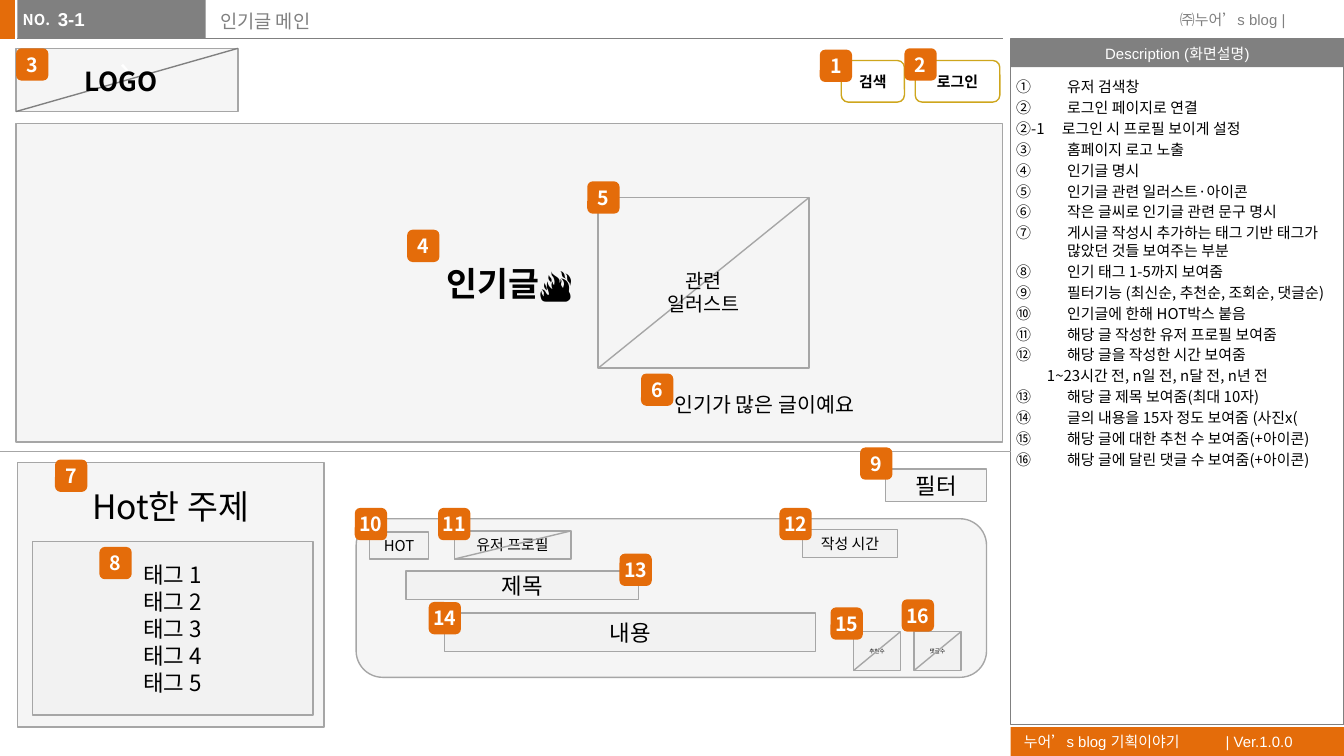
from dataclasses import dataclass

from lxml.etree import SubElement
from pptx import Presentation
from pptx.dml.color import RGBColor as Rgb
from pptx.enum.shapes import MSO_CONNECTOR as Connector, MSO_SHAPE as Preset
from pptx.enum.text import MSO_ANCHOR as Anchor, MSO_AUTO_SIZE as AutoSize, PP_ALIGN as Align
from pptx.oxml.ns import qn
from pptx.util import Inches, Pt


@dataclass(frozen=True)
class Theme:
    """Colours, fonts and type sizes of the storyboard."""
    accent: str = "E46C0A"
    bar: str = "808080"
    panel: str = "F2F2F2"
    edge: str = "A6A6A6"
    button: str = "CEA61D"
    ink: str = "000000"
    light: str = "FFFFFF"
    korean: str = "Noto Sans CJK KR"
    latin: str = "Arial"
    emoji: str = "Calibri"
    tiny: float = 3
    small: float = 8
    head: float = 10
    badge: float = 10.5
    caption: float = 11
    label: float = 12
    logo: float = 14
    hero: float = 18


theme = Theme()
deck = Presentation()
deck.slide_width = Inches(10)
deck.slide_height = deck.slide_width * 9 // 16
page = deck.slides.add_slide(deck.slide_layouts[3])
UNIT = deck.slide_width / 100  # 100 square columns across the slide


def write(frame, text, size=theme.small, font=theme.korean, color=theme.ink, bold=False,
          align=Align.LEFT, anchor=Anchor.TOP, wrap=True, inset=None, before=0,
          left=0, hang=0, start=None, tab=None):
    """Add one paragraph per line of text, formatted by the keywords."""
    frame.word_wrap, frame.auto_size, frame.vertical_anchor = wrap, AutoSize.NONE, anchor
    if inset is not None:
        frame.margin_left, frame.margin_right = Inches(inset), 0
    for line in text.split("\n"):
        para = frame.add_paragraph() if frame.text else frame.paragraphs[0]
        para.alignment, para.space_before = align, Pt(before)
        props = para._p.get_or_add_pPr()
        props.set("marL", str(Inches(left)))
        props.set("indent", str(-Inches(hang)))
        if start:
            SubElement(props, qn("a:buAutoNum"), type="circleNumDbPlain", startAt=str(start))
        else:
            SubElement(props, qn("a:buNone"))
        if tab:
            stops = SubElement(props, qn("a:tabLst"))
            SubElement(stops, qn("a:tab"), pos=str(Inches(tab)), algn="l")
        span = para.add_run()
        span.text = line
        span.font.size, span.font.bold, span.font.name = Pt(size), bold, font
        span.font.color.rgb = Rgb.from_string(color)
        if font == theme.korean:
            SubElement(span.font._element, qn("a:ea"), typeface=font)


def box(at, text="", fill=None, edge=None, width=0.75, preset=Preset.RECTANGLE,
        alpha=100, **style):
    """Draw a preset shape on the grid, with centred text by default."""
    shape = page.shapes.add_shape(preset, *(round(n * UNIT) for n in at))
    shape.shadow.inherit = False
    if fill:
        shape.fill.solid()
        shape.fill.fore_color.rgb = Rgb.from_string(fill)
        if alpha < 100:
            color = shape.element.spPr.find(qn("a:solidFill"))[0]
            SubElement(color, qn("a:alpha"), val=str(alpha * 1000))
    else:
        shape.fill.background()
    if edge:
        shape.line.color.rgb = Rgb.from_string(edge)
        shape.line.width = Pt(width)
    else:
        shape.line.fill.background()
    if text:
        write(shape.text_frame, text, **{"align": Align.CENTER, "anchor": Anchor.MIDDLE, **style})
    return shape


# Frame of the storyboard sheet
white_latin = dict(font=theme.latin, color=theme.light)
box((-0.1, 0, 1.2, 2.9), fill=theme.accent)
box((75.2, 54.1, 24.8, 2.15), "누어’s blog 기획이야기\t| Ver.1.0.0", fill=theme.accent,
    align=Align.LEFT, tab=1.25, **white_latin)
box((1.3, 0, 14, 2.9), fill=theme.bar)
box((75.2, 2.9, 24.8, 2.1), "Description (화면설명)", fill=theme.bar, wrap=False, **white_latin)
box((75.2, 2.9, 24.8, 51), edge=theme.bar)

# Wireframe panels, from the large areas to the small fields
grey = dict(fill=theme.panel, alpha=70, edge=theme.edge)
rounded = Preset.ROUNDED_RECTANGLE
box((1.2, 3.6, 16.5, 4.7), "`", size=theme.hero, color=theme.light, **grey)
hero = box((1.2, 9.2, 73.4, 23.7), "인기글", size=theme.hero, bold=True, **grey)
flame = hero.text_frame.paragraphs[0].add_run()
flame.text = "🔥"
flame.font.size, flame.font.bold, flame.font.name = Pt(theme.hero), True, theme.emoji
flame.font.color.rgb = Rgb.from_string(theme.ink)
box((44.5, 14.7, 15.7, 12.7), edge=theme.edge)
box((1.3, 34.4, 22.8, 19.7), **grey)
box((26.5, 38.6, 46.9, 11.8), preset=rounded, **grey)

tags = "\n".join(f"태그 {n}" for n in range(1, 6))
for at, text, size in [
    ((2.4, 40.3, 20.9, 12.9), tags, theme.label),
    ((65.9, 34.9, 7.5, 2.4), "필터", theme.label),
    ((27.5, 39.6, 4.4, 2), "HOT", theme.small),
    ((33.8, 39.5, 8.7, 2.1), "유저 프로필", theme.small),
    ((59.7, 39.4, 7.1, 2.1), "작성 시간", theme.small),
    ((30.2, 42.5, 17.3, 2.1), "제목", theme.label),
    ((33.1, 45.6, 27.6, 2.9), "내용", theme.label),
    ((63.5, 47, 3.5, 2.9), "추천수", theme.tiny),
    ((68, 47, 3.5, 2.9), "댓글수", theme.tiny),
]:
    box(at, text, size=size, **grey)
for column, columns, text in [(62.6, 4.7, "검색"), (68.1, 6.3, "로그인")]:
    box((column, 4.5, columns, 3.1), text, edge=theme.button, width=0, preset=rounded,
        bold=True, inset=0)

# Rules and the diagonals that mark image slots
for ends, color, width in [
    ((1.3, 2.9, 74.6, 2.9), theme.bar, 0.5),
    ((0, 33.6, 75.2, 33.6), theme.edge, 0.75),
    ((17.7, 3.6, 1.2, 8.3), theme.bar, 0.75),
    ((60.2, 14.7, 44.5, 27.4), theme.edge, 0.75),
    ((42.5, 39.5, 33.8, 41.6), theme.edge, 0.75),
    ((67, 47, 63.5, 49.9), theme.edge, 0.75),
    ((71.5, 47, 68, 49.9), theme.edge, 0.75),
]:
    rule = page.shapes.add_connector(Connector.STRAIGHT, *(round(n * UNIT) for n in ends))
    rule.line.color.rgb, rule.line.width = Rgb.from_string(color), Pt(width)
    SubElement(rule.element.spPr, qn("a:effectLst"))

# Free labels
for at, text, style in [
    ((0.7, 0.3, 4.1, 2.4), "NO.", dict(color=theme.light, bold=True, wrap=False)),
    ((86.8, 0.3, 9.5, 2.4), "㈜누어’s blog |",
     dict(font=theme.latin, color=theme.bar, wrap=False)),
    ((5.3, 4.4, 7.7, 3.3), "LOGO", dict(size=theme.logo, bold=True, wrap=False)),
    ((49.2, 28.7, 18.1, 2.9), "인기가 많은 글이예요", dict(size=theme.caption)),
    ((48.4, 19.5, 7.9, 4.5), "관련\n일러스트", dict(size=theme.badge, align=Align.CENTER)),
    ((1.3, 35.7, 22.8, 4), "Hot한 주제", dict(size=theme.hero, align=Align.CENTER)),
]:
    label = page.shapes.add_textbox(*(round(n * UNIT) for n in at))
    write(label.text_frame, text, **style)

# Numbered badges, in order from 1
for number, corner in enumerate([
    (61, 3.7), (67.3, 3.6), (1.2, 3.6), (30.3, 17.1), (43.7, 13.5), (47.7, 27.8),
    (4.1, 34.2), (7.4, 40.7), (64, 33.3), (26.4, 37.8), (32.6, 37.8), (58, 37.8),
    (46.1, 41.2), (31.9, 44.8), (61.8, 45.2), (67.1, 44.6),
], start=1):
    box((*corner, 2.4, 2.4), str(number), fill=theme.accent, preset=rounded,
        size=theme.badge, color=theme.light, bold=True, inset=0)

# Title, screen number and description list
title, description, screen = page.placeholders
for holder, at in [(title, (15.4, 0.2, 59.1, 3.2)), (description, (75.2, 5.3, 24.8, 48.8)),
                   (screen, (4.3, 0.1, 11, 3.1))]:
    holder.left, holder.top, holder.width, holder.height = (round(n * UNIT) for n in at)
    holder.element.getparent().append(holder.element)
write(title.text_frame, "인기글 메인", size=theme.head, color=theme.bar)
write(screen.text_frame, "3-1", size=theme.head, bold=True, inset=0, before=2, **white_latin)

numbered = dict(left=0.38, hang=0.38)
for text, layout in [
    ("유저 검색창\n로그인 페이지로 연결", dict(start=1, **numbered)),
    ("②-1\t로그인 시 프로필 보이게 설정", dict(left=0.34, hang=0.34)),
    ("홈페이지 로고 노출", dict(start=3, **numbered)),
    ("인기글 명시\n인기글 관련 일러스트·아이콘\n작은 글씨로 인기글 관련 문구 명시\n"
     "게시글 작성시 추가하는 태그 기반 태그가 많았던 것들 보여주는 부분\n"
     "인기 태그 1-5까지 보여줌\n필터기능 (최신순, 추천순, 조회순, 댓글순)\n"
     "인기글에 한해 HOT박스 붙음\n해당 글 작성한 유저 프로필 보여줌\n"
     "해당 글을 작성한 시간 보여줌", dict(start=4, **numbered)),
    ("1~23시간 전, n일 전, n달 전, n년 전", dict(left=0.23)),
    ("해당 글 제목 보여줌(최대 10자)\n글의 내용을 15자 정도 보여줌 (사진x(\n"
     "해당 글에 대한 추천 수 보여줌(+아이콘)\n해당 글에 달린 댓글 수 보여줌(+아이콘)",
     dict(start=13, **numbered)),
]:
    write(description.text_frame, text, inset=0.04, before=1.6, **layout)

deck.save("out.pptx")
